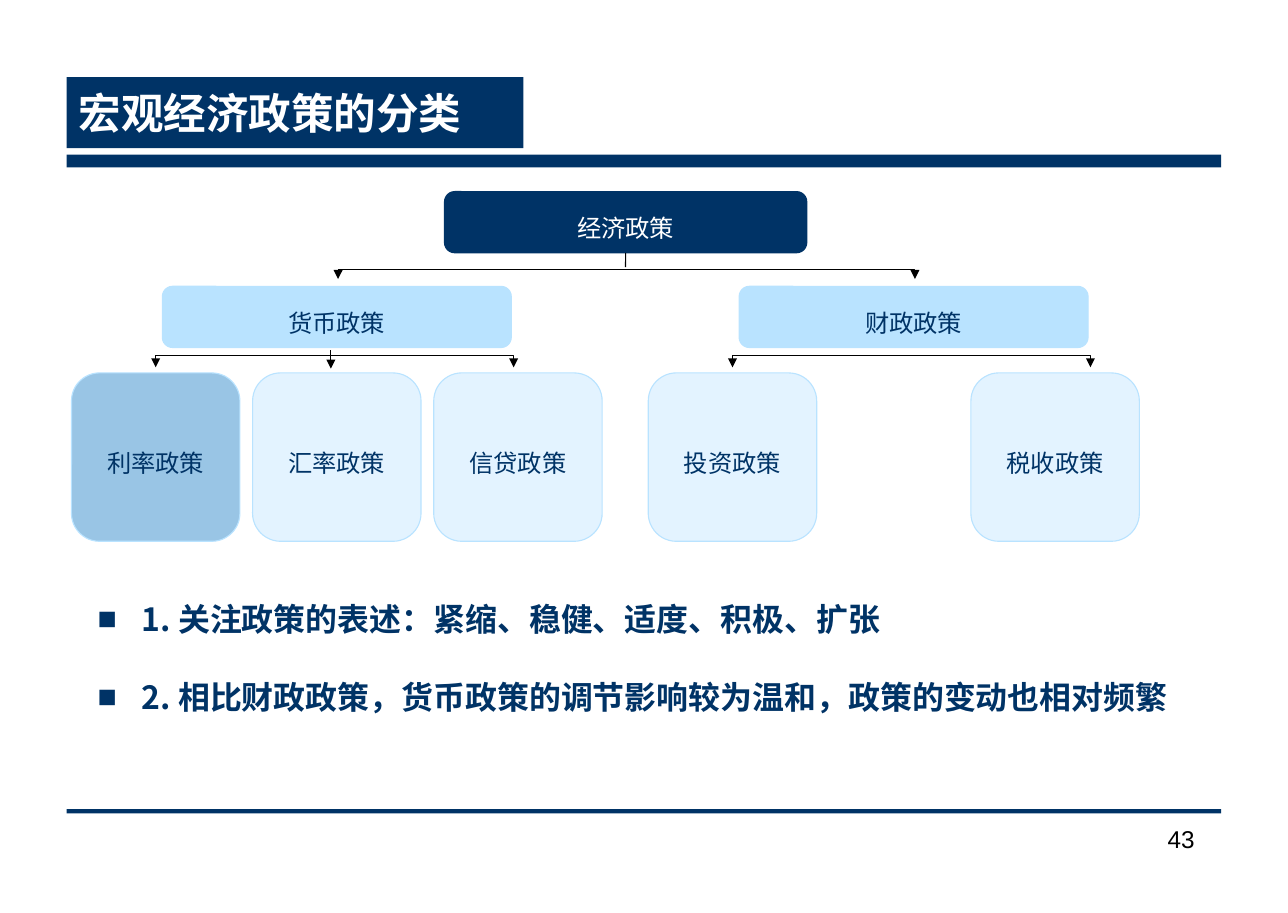
from lxml.etree import SubElement
from pptx import Presentation
from pptx.dml.color import RGBColor
from pptx.enum.shapes import MSO_CONNECTOR, MSO_SHAPE
from pptx.enum.text import MSO_ANCHOR, PP_ALIGN
from pptx.oxml.ns import qn
from pptx.util import Cm, Pt

NAVY, SKY, BLUE, WHITE, BLACK = "003366", "B9E3FF", "0070C0", "FFFFFF", "000000"
CJK, LATIN = "Noto Sans CJK SC", "Arial"
ROUNDED = MSO_SHAPE.FLOWCHART_ALTERNATE_PROCESS
BAR_W, BAR_H, BAR_INDENT, LEAF, SPAN = 8.1, 1.42, 2.11, 3.91, 8.31
BRANCHES = [
    ("货币政策", 0, 12.32, [("利率政策", BLUE), ("汇率政策", SKY), ("信贷政策", SKY)]),
    ("财政政策", 13.39, 11.4, [("投资政策", SKY), ("税收政策", SKY)]),
]
NOTES = [
    "1. 关注政策的表述：紧缩、稳健、适度、积极、扩张",
    "2. 相比财政政策，货币政策的调节影响较为温和，政策的变动也相对频繁",
]


def rgb(color):
    """Turn a hex string into a colour."""
    return RGBColor.from_string(color)


def apply(obj, **values):
    """Set each named attribute on the object."""
    for name, value in values.items():
        setattr(obj, name, value)


def set_frame(tf, wrap=True, anchor=MSO_ANCHOR.TOP, dx=0.28, dy=0.15):
    """Set the wrapping, anchor and margins of a text frame."""
    apply(tf, word_wrap=wrap, vertical_anchor=anchor, margin_left=Cm(dx),
          margin_right=Cm(dx), margin_top=Cm(dy), margin_bottom=Cm(dy))


def write(p, text, size, color, font=CJK, bold=False, **layout):
    """Write one formatted run into a paragraph."""
    apply(p, **layout)
    r = p.add_run()
    r.text = text
    apply(r.font, size=Pt(size), bold=bold, name=font)
    r.font.color.rgb = rgb(color)
    SubElement(r.font._element, qn("a:ea"), typeface=CJK)


def add_box(s, x, y, w, h, fill, line=None, kind=MSO_SHAPE.RECTANGLE, alpha=None):
    """Add a filled shape, outlined and translucent on request."""
    sp = s.shapes.add_shape(kind, Cm(x), Cm(y), Cm(w), Cm(h))
    sp.shadow.inherit = False
    sp.fill.solid()
    sp.fill.fore_color.rgb = rgb(fill)
    if alpha:
        color = sp.fill._xPr.find(qn("a:solidFill"))[0]
        SubElement(color, qn("a:alpha"), val=str(alpha * 1000))
    if line:
        sp.line.color.rgb = rgb(line)
        sp.line.width = Pt(0.75)
    else:
        sp.line.fill.background()
    return sp


def add_node(s, x, y, w, h, label, fill, line, color=NAVY, alpha=None):
    """Add a rounded node with a centred label."""
    sp = add_box(s, x, y, w, h, fill, line, ROUNDED, alpha)
    set_frame(sp.text_frame, False, MSO_ANCHOR.MIDDLE, 0.25, 0.13)
    write(sp.text_frame.paragraphs[0], label, 16, color,
          alignment=PP_ALIGN.CENTER, line_spacing=1.4)
    return sp


def style_line(sp, *ends):
    """Give a line its thin black stroke and arrowheads."""
    sp.line.color.rgb = rgb(BLACK)
    sp.line.width = Pt(0.75)
    for end in ends:
        SubElement(sp.line._get_or_add_ln(), qn(f"a:{end}"), type="triangle")


def add_stub(s, x, y, h, *ends):
    """Add a short vertical connector."""
    cx = s.shapes.add_connector(MSO_CONNECTOR.STRAIGHT, Cm(x), Cm(y), Cm(x), Cm(y + h))
    style_line(cx, *ends)
    SubElement(cx._element.spPr, qn("a:effectLst"))
    return cx


def add_bracket(s, x, y, w, h):
    """Add a bracket whose two legs end in arrowheads."""
    fb = s.shapes.build_freeform(Cm(x), Cm(y + h))
    fb.add_line_segments([(Cm(x), Cm(y)), (Cm(x + w), Cm(y)), (Cm(x + w), Cm(y + h))],
                         close=False)
    sp = fb.convert_to_shape()
    sp.shadow.inherit = False
    sp.fill.background()
    style_line(sp, "headEnd", "tailEnd")


def add_branch(s, x, y, w, label, leaves):
    """Draw a policy bar with its leaves spread evenly below."""
    add_node(s, x + BAR_INDENT, y, BAR_W, BAR_H, label, SKY, SKY)
    step = (w - LEAF) / (len(leaves) - 1)
    for i, (name, fill) in enumerate(leaves):
        add_node(s, x + i * step, y + 2.01, LEAF, LEAF, name, fill, SKY, alpha=40)
    add_bracket(s, x + LEAF / 2, y + 1.61, SPAN, 0.27)
    if len(leaves) % 2:
        add_stub(s, x + 6.02, y + 1.48, 0.43, "tailEnd")


def add_tree(s, x, y):
    """Draw the policy tree from its root down to the leaves."""
    root = add_node(s, x + 8.66, y, 8.41, BAR_H, "经济政策", NAVY, NAVY, WHITE)
    add_stub(s, x + 12.86, y + BAR_H, 0.33).begin_connect(root, 2)
    add_bracket(s, x + 6.19, y + 1.8, BRANCHES[1][1], 0.23)
    for label, left, w, leaves in BRANCHES:
        add_branch(s, x + left, y + 2.2, w, label, leaves)


def add_header(s, x, y, w):
    """Draw the title block and the rule under it."""
    add_box(s, x, y + 1.8, w, 0.3, NAVY)
    sp = add_box(s, x, y, 10.6, 1.65, NAVY)
    set_frame(sp.text_frame, anchor=MSO_ANCHOR.MIDDLE)
    write(sp.text_frame.paragraphs[0], "宏观经济政策的分类", 28, WHITE, LATIN, True,
          alignment=PP_ALIGN.LEFT)


def add_footer(s, x, y, w):
    """Draw the bottom rule and the page number."""
    add_box(s, x, y, w, 0.1, NAVY)
    tf = s.shapes.add_textbox(Cm(x + w - 2.6), Cm(y + 0.2), Cm(2.26), Cm(1.47)).text_frame
    set_frame(tf)
    write(tf.paragraphs[0], "43", 16, BLACK, LATIN, alignment=PP_ALIGN.RIGHT)


def add_notes(s, x, y, w, h):
    """Write the square-bulleted remarks."""
    tf = s.shapes.add_textbox(Cm(x), Cm(y), Cm(w), Cm(h)).text_frame
    set_frame(tf)
    for i, text in enumerate(NOTES):
        p = tf.add_paragraph() if i else tf.paragraphs[0]
        pPr = p._p.get_or_add_pPr()
        pPr.set("marL", str(Cm(1.25)))
        pPr.set("indent", str(Cm(-1.02)))
        SubElement(SubElement(pPr, qn("a:buClr")), qn("a:srgbClr"), val=NAVY)
        SubElement(pPr, qn("a:buFont"), typeface=LATIN)
        SubElement(pPr, qn("a:buChar"), char="■")
        write(p, text, 21, NAVY, bold=True, line_spacing=1.2, space_before=Pt(21 if i else 0))


def main():
    """Build the slide and save it."""
    prs = Presentation()
    prs.slide_width = Cm(29.9)
    prs.slide_height = Cm(21.2)
    s = prs.slides.add_slide(prs.slide_layouts[6])
    add_header(s, 1.55, 1.79, 26.8)
    add_footer(s, 1.55, 18.79, 26.8)
    add_tree(s, 1.66, 4.45)
    add_notes(s, 1.76, 13.59, 26.11, 4.24)
    prs.save("out.pptx")


if __name__ == "__main__":
    main()
